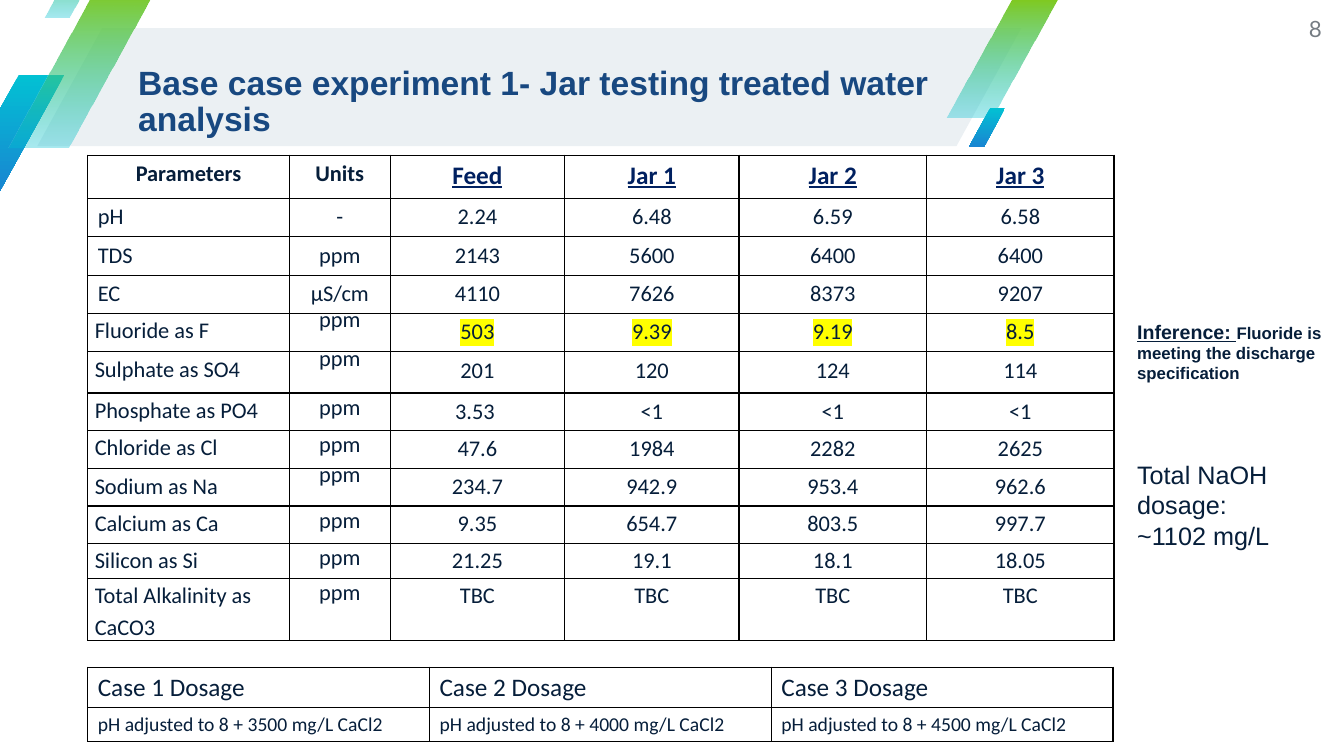
from dataclasses import dataclass

from lxml.etree import SubElement
from pptx import Presentation
from pptx.dml.color import RGBColor
from pptx.enum.shapes import MSO_SHAPE
from pptx.enum.text import MSO_ANCHOR, PP_ALIGN
from pptx.oxml.ns import qn
from pptx.util import Inches, Pt


@dataclass(frozen=True)
class Theme:
    ink: str = "061E3A"
    navy: str = "002060"
    title: str = "184880"
    grey: str = "757C83"
    banner: str = "EBF0F3"
    teal: str = "02C1D3"
    blue: str = "1985D2"
    green: str = "7FCA20"
    highlight: str = "FFFF00"
    border: str = "000000"
    heading: str = "Arial"
    body: str = "Calibri"
    number: str = "Lato"
    title_size: int = 24
    large: int = 18
    medium: int = 16
    small: int = 14
    note: int = 12


theme = Theme()


def write(para, text, size, face=theme.body, color=theme.ink, bold=False, underline=False):
    para.font.size = Pt(size)
    para.font.name = face
    para.font.color.rgb = RGBColor.from_string(color)
    para.font.bold = bold
    para.font.underline = underline
    span = para.add_run()
    span.text = text
    return span


def add_grid(left, top, columns, rows):
    frame = slide.shapes.add_table(len(rows), len(columns), Inches(left), Inches(top),
                                   Inches(sum(columns)), Inches(sum(rows)))
    table = frame.table
    table.first_row = False
    table.horz_banding = False
    table._tbl.tblPr.find(qn("a:tableStyleId")).text = "{2D5ABB26-0587-4C30-8999-92F81FD0307C}"
    for column, width in zip(table.columns, columns):
        column.width = Inches(width)
    for row, height in zip(table.rows, rows):
        row.height = Inches(height)
    for cell in table.iter_cells():
        properties = cell._tc.get_or_add_tcPr()
        for side in ("a:lnL", "a:lnR", "a:lnT", "a:lnB"):
            line = SubElement(properties, qn(side), w=str(Pt(1)))
            SubElement(SubElement(line, qn("a:solidFill")), qn("a:srgbClr"), val=theme.border)
        cell.fill.background()
    return table


deck = Presentation()
deck.slide_width = Inches(13.33)
deck.slide_height = Inches(7.5)
slide = deck.slides.add_slide(deck.slide_layouts[6])

solid_blue = (theme.teal, theme.blue, 100)
faded_green = (theme.green, theme.teal, 34)
stripes = [
    (0.37, 0.28, 9.76, 1.17, 0.55, None),
    (-0.46, 0.74, 1.1, 1.17, 0.59, solid_blue),
    (9.39, 0, 1.1, 1.17, 0.59, faded_green),
    (0.08, -0.1, 1.46, 1.56, 0.59, faded_green),
    (0.44, -0.48, 0.61, 0.65, 0.59, faded_green),
    (9.61, 1.07, 0.36, 0.39, 0.59, solid_blue),
]
for left, top, width, height, slant, blend in stripes:
    stripe = slide.shapes.add_shape(MSO_SHAPE.PARALLELOGRAM, Inches(left), Inches(top),
                                    Inches(width), Inches(height))
    stripe.adjustments[0] = slant
    stripe.shadow.inherit = False
    stripe.line.fill.background()
    if blend is None:
        stripe.fill.solid()
        stripe.fill.fore_color.rgb = RGBColor.from_string(theme.banner)
        continue
    start, end, opacity = blend
    stripe.fill.gradient()
    stripe.fill.gradient_angle = 270
    for stop, color in zip(stripe.fill.gradient_stops, (start, end)):
        stop.color.rgb = RGBColor.from_string(color)
    if opacity < 100:
        end_color = list(stripe._element.spPr.iter(qn("a:srgbClr")))[-1]
        SubElement(end_color, qn("a:alpha"), val=str(opacity * 1000))

boxes = {}
for name, left, top, width, height, inset in [
    ("title", 1.37, 0.42, 8.79, 1.19, False),
    ("number", 12.48, 0, 0.63, 0.57, False),
    ("inference", 11.18, 3.12, 2.06, 0.74, True),
    ("dosage", 11.18, 4.51, 1.81, 1.01, True),
]:
    box = slide.shapes.add_textbox(Inches(left), Inches(top), Inches(width), Inches(height))
    frame = box.text_frame
    frame.word_wrap = True
    if not inset:
        frame.vertical_anchor = MSO_ANCHOR.MIDDLE
        frame.margin_left = frame.margin_right = frame.margin_top = frame.margin_bottom = 0
    boxes[name] = frame

title = boxes["title"].paragraphs[0]
title.line_spacing = 0.9
write(title, "Base case experiment 1- Jar testing treated water analysis",
      theme.title_size, theme.heading, theme.title, bold=True)

number = boxes["number"].paragraphs[0]
number.alignment = PP_ALIGN.RIGHT
write(number, "8", theme.medium, theme.number, theme.grey)

inference = boxes["inference"].paragraphs[0]
lead = write(inference, "Inference: ", theme.note, theme.heading, bold=True)
lead.font.size = Pt(theme.small)
lead.font.underline = True
inference.add_run().text = "Fluoride is meeting the discharge specification"

dosage = boxes["dosage"]
write(dosage.paragraphs[0], "Total NaOH dosage:", theme.large, theme.heading)
write(dosage.add_paragraph(), "~1102 mg/L", theme.large, theme.heading)

analysis = [
    ("Parameters", "Units", "Feed", "Jar 1", "Jar 2", "Jar 3"),
    ("pH", "-", "2.24", "6.48", "6.59", "6.58"),
    ("TDS", "ppm", "2143", "5600", "6400", "6400"),
    ("EC", "µS/cm", "4110", "7626", "8373", "9207"),
    ("Fluoride as F", "ppm", "503", "9.39", "9.19", "8.5"),
    ("Sulphate as SO4", "ppm", "201", "120", "124", "114"),
    ("Phosphate as PO4", "ppm", "3.53 ", "<1", "<1", "<1"),
    ("Chloride as Cl", "ppm", "47.6", "1984", "2282", "2625"),
    ("Sodium as Na", "ppm", "234.7", "942.9", "953.4", "962.6"),
    ("Calcium as Ca", "ppm", "9.35", "654.7", "803.5", "997.7"),
    ("Silicon as Si", "ppm", "21.25", "19.1", "18.1", "18.05"),
    ("Total Alkalinity as CaCO3", "ppm", "TBC", "TBC", "TBC", "TBC"),
]
first_ion, fluoride, sodium = 4, 4, 8
tight_units = (4, 5, 8)
table = add_grid(0.87, 1.54, [2, 1, 1.73, 1.73, 1.86, 1.86],
                 [0.43] + [0.38] * 4 + [0.41, 0.37, 0.38, 0.37, 0.37, 0.35, 0.61])
for row, values in enumerate(analysis):
    for column, value in enumerate(values):
        cell = table.cell(row, column)
        para = cell.text_frame.paragraphs[0]
        header = row == 0
        sample = header and column >= 2
        span = write(para, value, theme.large if sample else theme.medium,
                     color=theme.navy if sample else theme.ink, bold=header, underline=sample)
        if header or column > 0:
            para.alignment = PP_ALIGN.CENTER
        if row >= first_ion and column == 1:
            cell.margin_left = cell.margin_right = cell.margin_bottom = 0
            cell.margin_top = Inches(0.01)
            para.space_before = Pt(0.5)
            if row in tight_units:
                para.line_spacing = Pt(13.8)
        elif row >= sodium or (row >= first_ion and column == 0):
            cell.margin_left = cell.margin_right = Inches(0.07)
            cell.margin_top = cell.margin_bottom = 0
            para.line_spacing = 1.15
            para.space_before = Pt(12)
            para.space_after = Pt(8)
        if row == fluoride and column >= 2:
            marker = SubElement(span._r.get_or_add_rPr(), qn("a:highlight"))
            SubElement(marker, qn("a:srgbClr"), val=theme.highlight)

cases = add_grid(0.87, 6.62, [3.39] * 3, [0.4, 0.33])
for column, dose in enumerate((3500, 4000, 4500)):
    write(cases.cell(0, column).text_frame.paragraphs[0],
          f"Case {column + 1} Dosage", theme.large)
    write(cases.cell(1, column).text_frame.paragraphs[0],
          f"pH adjusted to 8 + {dose} mg/L CaCl2", theme.small)

deck.save("out.pptx")
